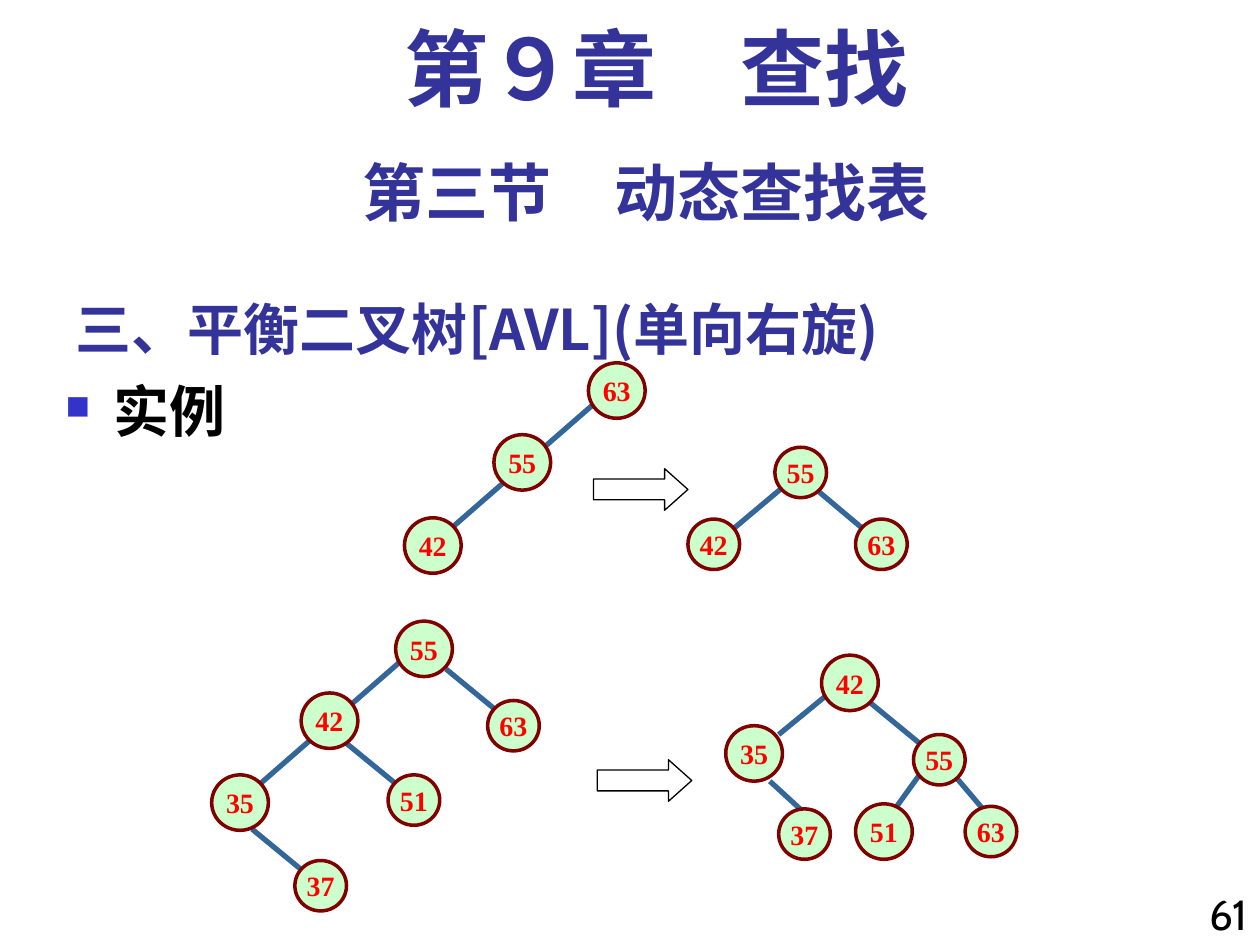
from typing import NamedTuple

from lxml import etree
from pptx import Presentation
from pptx.dml.color import RGBColor
from pptx.enum import shapes as kinds, text as styles
from pptx.oxml import ns
from pptx.util import Inches, Pt

INDIGO = RGBColor(0x33, 0x33, 0x99)
BLACK = RGBColor(0, 0, 0)
RED = RGBColor(0xFF, 0, 0)
MAROON = RGBColor(0x80, 0, 0)
PALE_GREEN = RGBColor(0xCC, 0xFF, 0xCC)
STEEL_BLUE = RGBColor(0x33, 0x66, 0x99)
BULLET_BLUE = RGBColor(0x33, 0x33, 0xCC)
CJK_FONT = "Noto Sans CJK SC"
SERIF = "Times New Roman"
LARGE, SMALL = (0.45, 0.44), (0.41, 0.4)


class Node(NamedTuple):
    key: int
    left: float
    top: float
    size: tuple[float, float] = LARGE


class Edge(NamedTuple):
    x1: float
    y1: float
    x2: float
    y2: float


class Tree(NamedTuple):
    edges: list[Edge]
    nodes: list[Node]


TREES = [
    Tree([Edge(4.72, 3.2, 3.55, 4.22)],
         [Node(63, 4.67, 2.88), Node(42, 3.21, 4.11), Node(55, 3.92, 3.45)]),
    Tree([Edge(6.46, 3.87, 6.9, 4.24), Edge(6.21, 3.87, 5.71, 4.29)],
         [Node(63, 6.79, 4.12, SMALL), Node(55, 6.15, 3.55, SMALL),
          Node(42, 5.46, 4.12, SMALL)]),
    Tree([Edge(3.19, 5.24, 2.02, 6.26), Edge(2.75, 5.9, 3.19, 6.26),
          Edge(2, 6.58, 2.45, 6.95), Edge(3.54, 5.31, 3.99, 5.68)],
         [Node(55, 3.14, 4.93), Node(35, 1.68, 6.15), Node(42, 2.39, 5.5),
          Node(51, 3.08, 6.15, SMALL), Node(37, 2.34, 6.83, SMALL),
          Node(63, 3.87, 5.56, SMALL)]),
    Tree([Edge(6.57, 5.51, 6.18, 5.83), Edge(6.11, 6.2, 6.47, 6.53),
          Edge(7.58, 6.16, 7.8, 6.42), Edge(6.91, 5.58, 7.36, 5.95),
          Edge(7.29, 6.16, 7.11, 6.41)],
         [Node(42, 6.52, 5.2), Node(51, 6.79, 6.38), Node(35, 5.76, 5.76),
          Node(37, 6.18, 6.42, SMALL), Node(63, 7.66, 6.4, SMALL),
          Node(55, 7.25, 5.83, SMALL)]),
]
ROTATION_ARROWS = [(4.71, 3.72), (4.74, 6.03)]


def write(paragraph, words: str, size: float, font: str, color: RGBColor,
          align=styles.PP_ALIGN.LEFT, bold: bool = True) -> None:
    paragraph.alignment = align
    run = paragraph.add_run()
    run.text = words
    run.font.size = Pt(size)
    run.font.name = font
    run.font.bold = bold
    run.font.color.rgb = color
    east_asian = etree.SubElement(run.font._element, ns.qn("a:ea"))
    east_asian.set("typeface", CJK_FONT)


def add_text_box(slide, left: float, top: float, width: float, height: float):
    """Add a wrapping text box and return its first paragraph."""
    box = slide.shapes.add_textbox(
        Inches(left), Inches(top), Inches(width), Inches(height))
    box.text_frame.word_wrap = True
    return box.text_frame.paragraphs[0]


def add_square_bullet(paragraph) -> None:
    properties = paragraph._p.get_or_add_pPr()
    properties.set("marL", str(Inches(0.38)))
    properties.set("indent", str(-Inches(0.38)))
    color = etree.SubElement(properties, ns.qn("a:buClr"))
    etree.SubElement(color, ns.qn("a:srgbClr")).set("val", str(BULLET_BLUE))
    etree.SubElement(properties, ns.qn("a:buSzPct")).set("val", "60000")
    etree.SubElement(properties, ns.qn("a:buChar")).set("char", "■")


def add_edge(slide, edge: Edge) -> None:
    line = slide.shapes.add_connector(
        kinds.MSO_CONNECTOR.STRAIGHT, *(Inches(value) for value in edge))
    line.line.color.rgb = STEEL_BLUE
    line.line.width = Pt(3)
    etree.SubElement(line._element.spPr, ns.qn("a:effectLst"))


def add_node(slide, node: Node) -> None:
    circle = slide.shapes.add_shape(
        kinds.MSO_SHAPE.OVAL, Inches(node.left), Inches(node.top),
        *(Inches(side) for side in node.size))
    circle.shadow.inherit = False
    circle.fill.solid()
    circle.fill.fore_color.rgb = PALE_GREEN
    circle.line.color.rgb = MAROON
    circle.line.width = Pt(2)
    frame = circle.text_frame
    frame.word_wrap = False
    frame.vertical_anchor = styles.MSO_ANCHOR.MIDDLE
    write(frame.paragraphs[0], str(node.key), 16, SERIF, RED,
          styles.PP_ALIGN.CENTER)


def add_rotation_arrow(slide, left: float, top: float) -> None:
    arrow = slide.shapes.add_shape(
        kinds.MSO_SHAPE.RIGHT_ARROW, Inches(left), Inches(top),
        Inches(0.75), Inches(0.33))
    arrow.adjustments[1] = 0.56
    arrow.shadow.inherit = False
    arrow.fill.background()
    arrow.line.color.rgb = BLACK
    arrow.line.width = Pt(0.75)


def add_headings(slide) -> None:
    title = slide.shapes.title
    title.left, title.top = Inches(0.5), Inches(2.17)
    title.width, title.height = Inches(6.83), Inches(0.75)
    frame = title.text_frame
    frame.word_wrap = True
    frame.auto_size = styles.MSO_AUTO_SIZE.NONE
    frame.vertical_anchor = styles.MSO_ANCHOR.BOTTOM
    topic = frame.paragraphs[0]
    topic.line_spacing = 0.83
    write(topic, "三、平衡二叉树[AVL](单向右旋)", 32, CJK_FONT, INDIGO)

    chapter = add_text_box(slide, 0.67, 0.17, 9.08, 0.83)
    chapter.line_spacing = 0.9
    write(chapter, "第９章　查找", 48, SERIF, INDIGO, styles.PP_ALIGN.CENTER)

    section = add_text_box(slide, 0.5, 1.17, 9.25, 0.7)
    write(section, "第三节　动态查找表", 36, "Cabin", INDIGO,
          styles.PP_ALIGN.CENTER)

    example = add_text_box(slide, 0.42, 3, 1.98, 0.71)
    example.line_spacing = 0.9
    add_square_bullet(example)
    write(example, "实例", 32, CJK_FONT, BLACK)

    page_number = add_text_box(slide, 9.33, 7, 0.67, 0.59)
    write(page_number, "61", 24, "Cabin", BLACK, styles.PP_ALIGN.RIGHT,
          bold=False)


def main() -> None:
    deck = Presentation()
    deck.slide_width, deck.slide_height = Inches(10), Inches(7.5)
    slide = deck.slides.add_slide(deck.slide_layouts[5])
    add_headings(slide)
    for tree in TREES:
        for edge in tree.edges:
            add_edge(slide, edge)
        for node in tree.nodes:
            add_node(slide, node)
    for left, top in ROTATION_ARROWS:
        add_rotation_arrow(slide, left, top)
    deck.save("out.pptx")


if __name__ == "__main__":
    main()
